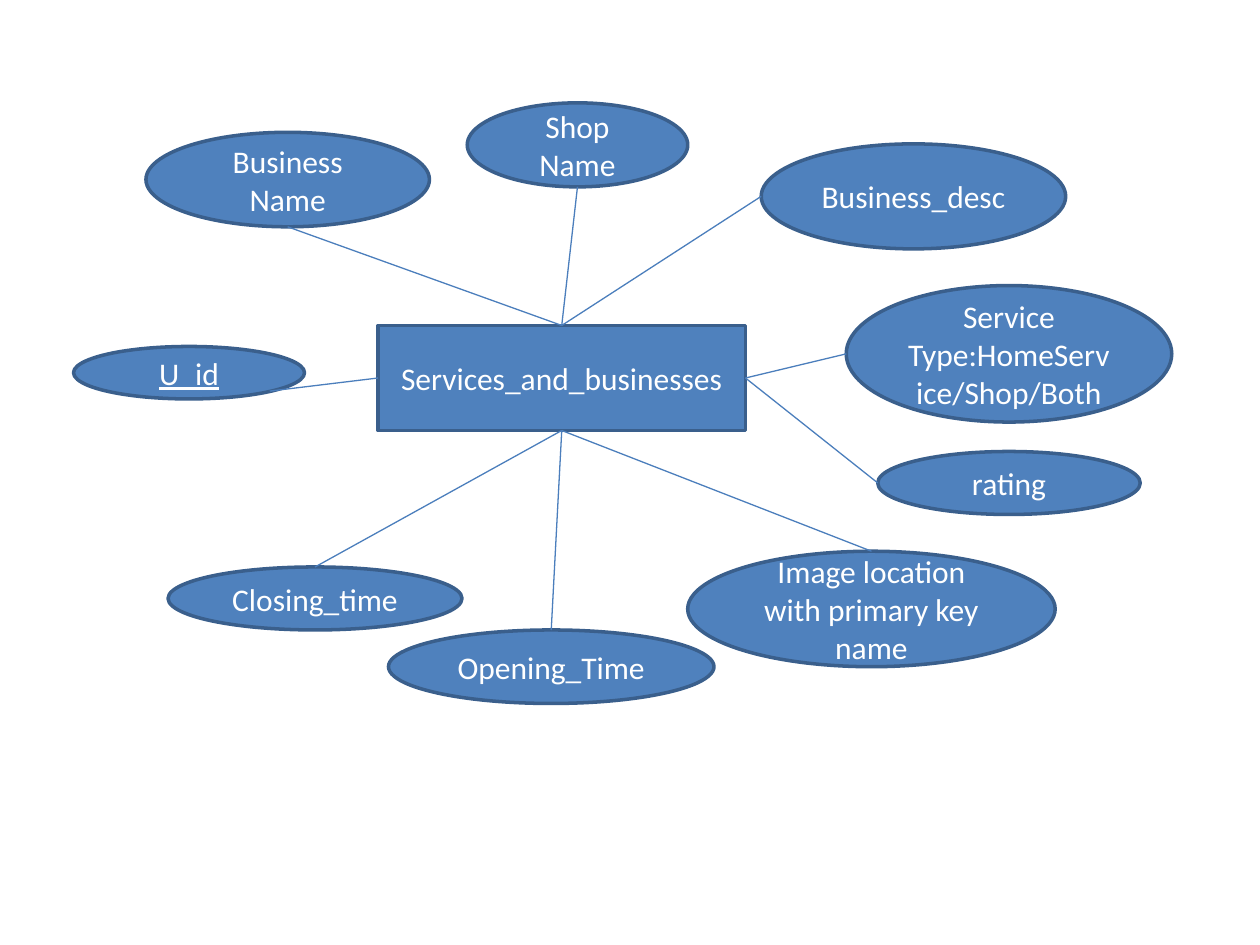
"""Build an entity diagram slide: one entity joined to its attributes."""
from pptx import Presentation
from pptx.dml.color import RGBColor
from pptx.enum.shapes import MSO_CONNECTOR, MSO_SHAPE
from pptx.enum.text import MSO_ANCHOR, PP_ALIGN
from pptx.util import Inches, Pt
from lxml import etree

RECTANGLE, ELLIPSE = MSO_SHAPE.RECTANGLE, MSO_SHAPE.OVAL
STRAIGHT = MSO_CONNECTOR.STRAIGHT
MIDDLE, CENTER = MSO_ANCHOR.MIDDLE, PP_ALIGN.CENTER
DRAWING = "http://schemas.openxmlformats.org/drawingml/2006/main"

WIDTH, HEIGHT = 10, 7.5
COLUMNS, ROWS = 120, 90
THEME = {
    "fill": RGBColor(0x4F, 0x81, 0xBD),
    "outline": RGBColor(0x3A, 0x5F, 0x8C),
    "link": RGBColor(0x4B, 0x7E, 0xBC),
    "text": RGBColor(0xFF, 0xFF, 0xFF),
    "font": "Calibri",
    "size": Pt(18),
    "outline_width": Pt(2),
    "link_width": Pt(0.75),
}

SITES = {
    "top": (0.5, 0),
    "bottom": (0.5, 1),
    "left": (0, 0.5),
    "right": (1, 0.5),
    "lower right": (0.85, 0.85),
}

ENTITY = ("Services_and_businesses", (36, 31, 35, 10))
ATTRIBUTES = [
    ("U_id", (7, 33, 22, 5), "lower right", "left"),
    ("Business Name", (13.9, 12.6, 27, 9), "bottom", "top"),
    ("Shop Name", (44.5, 9.8, 21, 8), "bottom", "top"),
    ("Business_desc", (72.5, 13.7, 29, 10), "left", "top"),
    ("Service Type:HomeService/Shop/Both", (80.6, 27.2, 31, 13), "left", "right"),
    ("rating", (83.6, 43, 25, 6), "left", "right"),
    ("Image location with primary key name", (65.5, 52.5, 35, 11), "top", "bottom"),
    ("Opening_Time", (37, 60, 31, 7), "top", "bottom"),
    ("Closing_time", (16, 54, 28, 6), "top", "bottom"),
]
KEY = "U_id"


def place(column, row):
    return Inches(WIDTH * column / COLUMNS), Inches(HEIGHT * row / ROWS)


def site_of(cell, site):
    column, row, columns, rows = cell
    across, down = SITES[site]
    return place(column + across * columns, row + down * rows)


def write(box, text, *, underline=False):
    frame = box.text_frame
    frame.word_wrap = True
    frame.vertical_anchor = MIDDLE
    para = frame.paragraphs[0]
    para.alignment = CENTER
    span = para.add_run()
    span.text = text
    span.font.name = THEME["font"]
    span.font.size = THEME["size"]
    span.font.color.rgb = THEME["text"]
    if underline:
        span.font.underline = True


def add_node(diagram, kind, text, cell):
    box = diagram.shapes.add_shape(kind, *place(*cell[:2]), *place(*cell[2:]))
    box.shadow.inherit = False
    box.fill.solid()
    box.fill.fore_color.rgb = THEME["fill"]
    box.line.color.rgb = THEME["outline"]
    box.line.width = THEME["outline_width"]
    write(box, text, underline=text == KEY)


def add_link(diagram, start, end):
    link = diagram.shapes.add_connector(STRAIGHT, *start, *end)
    link.line.color.rgb = THEME["link"]
    link.line.width = THEME["link_width"]
    etree.SubElement(link._element.spPr, f"{{{DRAWING}}}effectLst")


def main():
    deck = Presentation()
    deck.slide_width, deck.slide_height = Inches(WIDTH), Inches(HEIGHT)
    page = deck.slides.add_slide(deck.slide_layouts[6])
    diagram = page.shapes.add_group_shape()
    name, entity_cell = ENTITY
    add_node(diagram, RECTANGLE, name, entity_cell)
    for text, cell, own_site, entity_site in ATTRIBUTES:
        add_node(diagram, ELLIPSE, text, cell)
        add_link(diagram, site_of(cell, own_site), site_of(entity_cell, entity_site))
    deck.save("out.pptx")


if __name__ == "__main__":
    main()
